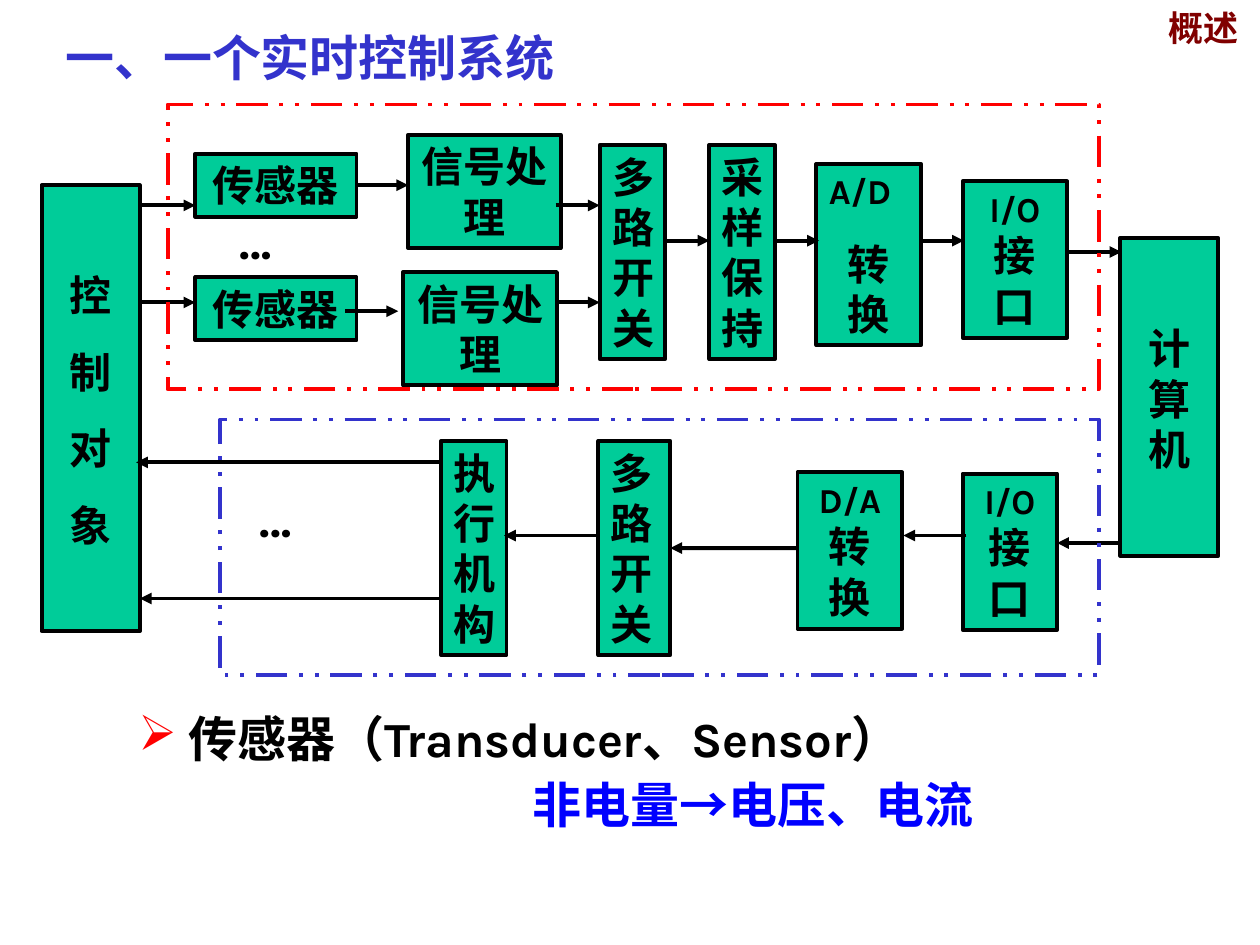
from lxml import etree
from pptx import Presentation
from pptx.dml.color import RGBColor
from pptx.enum import dml, shapes, text
from pptx.oxml import ns
from pptx.util import Inches, Pt

COLORS = {"box": "00CC99", "ink": "000000", "head": "3333CC", "title": "800000",
          "red": "FF0000", "blue": "0000FF"}
LATIN, HAN, SERIF = "Karla", "Noto Sans CJK SC", "Times New Roman"
LEFT, MID = text.PP_ALIGN.LEFT, text.PP_ALIGN.CENTER


def rgb(name):
    return RGBColor.from_string(COLORS[name])


def sub(node, tag, **attrs):
    return etree.SubElement(node, ns.qn(tag), attrs)


class Draw:
    def __init__(self, slide):
        self.slide = slide

    def run(self, para, words, size, color="ink", font=LATIN):
        run = para.add_run()
        run.text = words
        face = run.font
        face.size, face.bold, face.name = Pt(size), True, font
        face.color.rgb = rgb(color)
        sub(run._r.get_or_add_rPr(), "a:ea", typeface=HAN)

    def frame(self, shape, top=0.05):
        body = shape.text_frame
        body.word_wrap = True
        body.auto_size = text.MSO_AUTO_SIZE.NONE
        body.vertical_anchor = text.MSO_ANCHOR.TOP
        body.margin_top = Inches(top)
        return body

    def fill(self, body, paras, gap=15):
        """Each paragraph is (alignment, [(words, size, ...), ...])."""
        for i, (align, runs) in enumerate(paras):
            para = body.add_paragraph() if i else body.paragraphs[0]
            para.alignment = align
            para.space_before = Pt(gap if i else 0)
            for item in runs:
                self.run(para, *item)

    def title(self, words, *spot):
        shape = self.slide.shapes.title
        shape.left, shape.top, shape.width, shape.height = map(Inches, spot)
        self.fill(self.frame(shape), [(LEFT, [(words, 20, "title", SERIF)])])

    def label(self, spot, paras, gap=0):
        body = self.frame(self.slide.shapes.add_textbox(*map(Inches, spot)))
        self.fill(body, paras, gap)
        return body.paragraphs

    def rect(self, spot, color="ink"):
        shape = self.slide.shapes.add_shape(shapes.MSO_SHAPE.RECTANGLE, *map(Inches, spot))
        shape.shadow.inherit = False
        shape.line.color.rgb = rgb(color)
        shape.line.width = Pt(2.25)
        return shape

    def box(self, spot, paras, top=0.05):
        shape = self.rect(spot)
        shape.fill.solid()
        shape.fill.fore_color.rgb = rgb("box")
        self.fill(self.frame(shape, top), paras)
        return shape

    def zone(self, spot, color):
        shape = self.rect(spot, color)
        shape.fill.background()
        shape.line.dash_style = dml.MSO_LINE.DASH_DOT_DOT

    def arrow(self, x, y, end):
        line = self.slide.shapes.add_connector(
            shapes.MSO_CONNECTOR.STRAIGHT, *map(Inches, (x, y, end, y)))
        line.line.color.rgb = rgb("ink")
        line.line.width = Pt(2.25)
        sub(line.line._get_or_add_ln(), "a:tailEnd", type="triangle")
        sub(line._element.spPr, "a:effectLst")
        return line


def main():
    deck = Presentation()
    deck.slide_width, deck.slide_height = Inches(10), Inches(7.5)
    draw = Draw(deck.slides.add_slide(deck.slide_layouts[5]))

    # Headings
    draw.title("概述", 9.17, 0, 0.83, 0.42)
    draw.label((0.42, 0.17, 6, 0.57), [(LEFT, [("一、一个实时控制系统", 28, "head")])])

    # Plant and computer
    draw.box((0.33, 1.47, 0.78, 3.54), [(MID, [(c, 24)]) for c in "控制对象"], 0.67)
    draw.box((8.89, 1.89, 0.78, 2.52), [(MID, [("计算机", 24)])], 0.67)

    # Input and output stages
    sensor = draw.box((1.55, 1.22, 1.28, 0.5), [(MID, [("传感器", 24)])])
    draw.box((1.55, 2.2, 1.28, 0.5), [(MID, [("传感器", 24)])])
    for spot in ((3.24, 1.07, 1.21, 0.9), (3.2, 2.16, 1.22, 0.9)):
        draw.box(spot, [(MID, [("信号处理", 24)])])
    for x, y, wide, words in ((4.76, 1.15, 0.52, "多路开关"), (5.63, 1.15, 0.52, "采样保持"),
                              (3.5, 3.5, 0.52, "执行机构")):
        draw.box((x, y, wide, 1.7), [(LEFT, [(words, 24)])])
    switch = draw.box((4.75, 3.5, 0.57, 1.7), [(LEFT, [("多路开关", 24)])])
    draw.box((6.48, 1.3, 0.83, 1.44), [(LEFT, [("A/D", 20)]), (MID, [("转换", 24)])])
    for x, y, wide, code, words in ((7.64, 1.44, 0.83, "I/O", "接口"),
                                    (6.33, 3.75, 0.83, "D/A", "转换"),
                                    (7.64, 3.76, 0.75, "I/O", "接口")):
        draw.box((x, y, wide, 1.24), [(MID, [(code, 20), (words, 24)])])

    # Signal flow
    for x, y, end in ((1.11, 1.63, 1.55), (1.11, 2.4, 1.55), (2.74, 2.47, 3.16),
                      (4.41, 1.63, 4.76), (4.41, 2.4, 4.76), (5.28, 1.91, 5.63),
                      (6.15, 1.91, 6.5), (7.31, 1.91, 7.65), (8.47, 2, 8.9),
                      (8.89, 4.31, 8.39), (7.67, 4.25, 7.17), (4.75, 4.25, 4),
                      (3.5, 3.67, 1.08), (3.5, 4.75, 1.11)):
        draw.arrow(x, y, end)
    draw.arrow(2.83, 1.47, 3.24).begin_connect(sensor, 3)
    draw.arrow(6.33, 4.35, 5.32).end_connect(switch, 3)

    # Input and output zones
    draw.zone((1.33, 0.83, 7.39, 2.26), "red")
    draw.zone((1.75, 3.33, 6.97, 2.03), "head")

    # Explanation
    notes = draw.label((1, 5.63, 8.67, 1.04), [
        (LEFT, [("传感器（Transducer、Sensor）", 28)]),
        (LEFT, [("非电量", 28, "blue"), ("→电压、电流", 28, "blue", HAN)])], 7)
    for para, left, hang in zip(notes, (0.4, 3.13), (-0.4, 0)):
        para.line_spacing = 0.9
        props = para._p.get_or_add_pPr()
        props.set("marL", str(Inches(left)))
        props.set("indent", str(Inches(hang)))
    props = notes[0]._p.pPr
    sub(sub(props, "a:buClr"), "a:srgbClr", val=COLORS["red"])
    sub(props, "a:buChar", char="➢")

    # Ellipses between channels
    for x, y in ((1.96, 3.83), (1.8, 1.62)):
        draw.label((x, y, 0.53, 0.57), [(LEFT, [("…", 28)])])

    deck.save("out.pptx")


if __name__ == "__main__":
    main()
